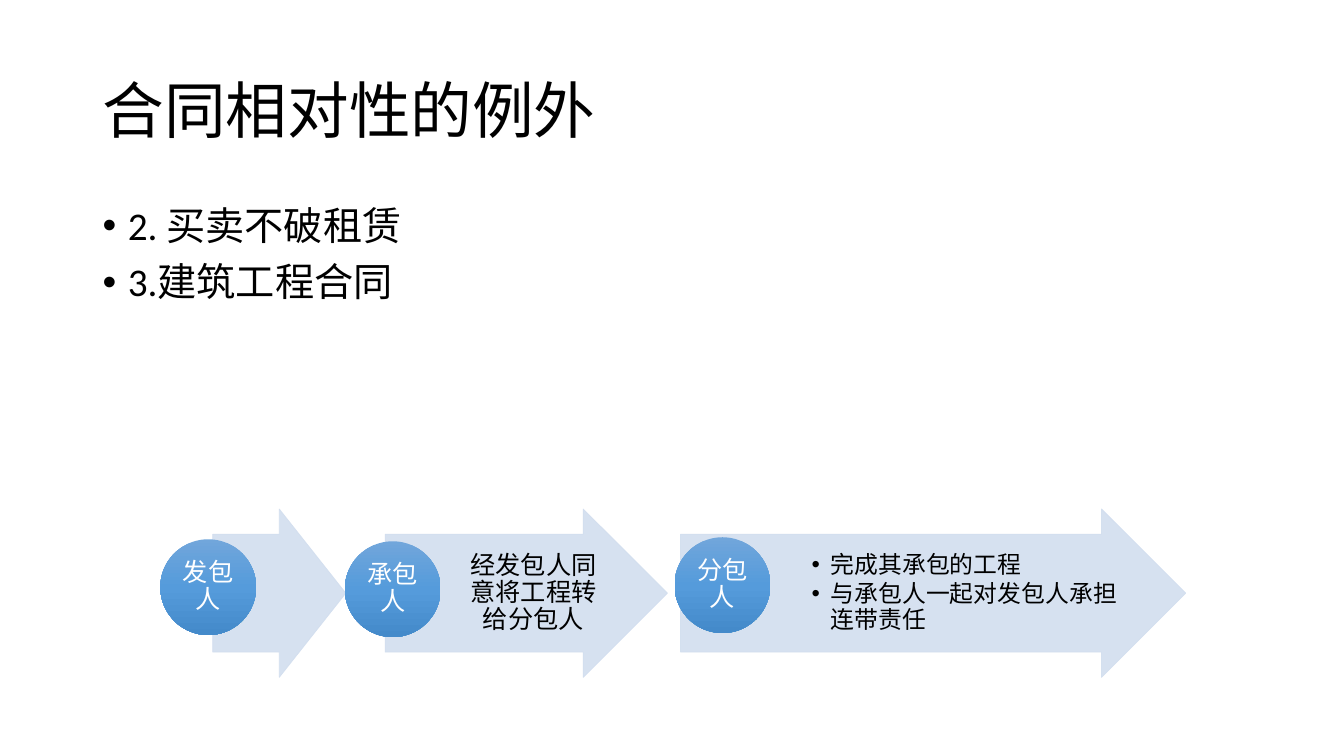
from copy import deepcopy

from lxml.etree import SubElement
from pptx import Presentation
from pptx.dml.color import RGBColor
from pptx.enum.shapes import MSO_SHAPE as Preset
from pptx.enum.text import MSO_ANCHOR as Anchor, PP_ALIGN as Align
from pptx.oxml.ns import qn
from pptx.util import Inches, Pt

COLORS = {
    "text": "000000",
    "circle_text": "FFFFFF",
    "arrow": "D2DEEF",
    "circle_top": "71A6DB",
    "circle_middle": "559BDB",
    "circle_bottom": "448ACA",
}
FONT = "Calibri"
ARROW_TOP, ARROW_HEIGHT = 5.05, 1.67
CIRCLE_SIZE = 0.95
NOTE_TOP, NOTE_HEIGHT = 5.3, 1.17


def rgb(name):
    """Return the named colour."""
    return RGBColor.from_string(COLORS[name])


def add_bullet(paragraph, indent):
    """Give a paragraph a hanging round bullet."""
    properties = paragraph._p.get_or_add_pPr()
    properties.set("marL", str(Inches(indent)))
    properties.set("indent", str(-Inches(indent)))
    SubElement(properties, qn("a:buFont")).set("typeface", "Arial")
    SubElement(properties, qn("a:buChar")).set("char", "•")


def write(shape, lines, size, color="text", anchor=Anchor.MIDDLE, align=Align.LEFT,
          insets=(0.1, 0.05, 0.1, 0.05), bullet_indent=None, gap=0):
    """Fill a shape with formatted paragraphs."""
    frame = shape.text_frame
    frame.text = "\n".join(lines)
    frame.word_wrap = True
    frame.vertical_anchor = anchor
    (frame.margin_left, frame.margin_top,
     frame.margin_right, frame.margin_bottom) = map(Inches, insets)
    for index, paragraph in enumerate(frame.paragraphs):
        if bullet_indent:
            add_bullet(paragraph, bullet_indent)
        paragraph.alignment = align
        paragraph.line_spacing = 0.9
        paragraph.space_before = Pt(gap if index else 0)
        for run in paragraph.runs:
            run.font.name = FONT
            run.font.size = Pt(size)
            run.font.color.rgb = rgb(color)


def add_text(slide, left, top, width, height, lines, size, **style):
    """Add a text box."""
    box = slide.shapes.add_textbox(*map(Inches, (left, top, width, height)))
    write(box, lines, size, **style)


def add_arrow(slide, left, width):
    """Add a pale block arrow."""
    arrow = slide.shapes.add_shape(
        Preset.RIGHT_ARROW, *map(Inches, (left, ARROW_TOP, width, ARROW_HEIGHT)))
    arrow.shadow.inherit = False
    arrow.adjustments[0] = 0.7
    arrow.adjustments[1] = 0.5
    arrow.fill.solid()
    arrow.fill.fore_color.rgb = rgb("arrow")
    arrow.line.color.rgb = rgb("arrow")
    arrow.line.width = Pt(0.5)
    for color in arrow._element.spPr.iter(qn("a:srgbClr")):
        SubElement(color, qn("a:alpha")).set("val", "90000")


def add_circle(slide, left, top, label):
    """Add a shaded circle that names a party."""
    circle = slide.shapes.add_shape(
        Preset.OVAL, *map(Inches, (left, top, CIRCLE_SIZE, CIRCLE_SIZE)))
    circle.shadow.inherit = False
    circle.line.fill.background()
    circle.fill.gradient()
    circle.fill.gradient_angle = 270
    stop_list = circle._element.spPr.find(".//" + qn("a:gsLst"))
    stop_list.insert(1, deepcopy(stop_list[0]))
    names = ("circle_top", "circle_middle", "circle_bottom")
    for stop, position, name in zip(circle.fill.gradient_stops, (0, 0.5, 1), names):
        stop.position = position
        stop.color.rgb = rgb(name)
    write(circle, [label], 18, color="circle_text", align=Align.CENTER, insets=(0.01,) * 4)


def main():
    """Build the slide and save it."""
    presentation = Presentation()
    presentation.slide_width = Inches(13.33)
    presentation.slide_height = Inches(7.5)
    slide = presentation.slides.add_slide(presentation.slide_layouts[6])

    add_text(slide, 0.92, 0.4, 11.5, 1.45, ["合同相对性的例外"], 44)
    add_text(slide, 0.92, 2, 11.5, 4.76, ["2. 买卖不破租赁", "3.建筑工程合同"], 28,
             anchor=Anchor.TOP, bullet_indent=0.25, gap=10)

    parties = [
        (2.11, 1.32, 1.59, 5.35, "发包人"),
        (3.82, 2.8, 3.42, 5.37, "承包人"),
        (6.75, 5.01, 6.69, 5.33, "分包人"),
    ]
    for arrow_left, arrow_width, circle_left, circle_top, label in parties:
        add_arrow(slide, arrow_left, arrow_width)
        add_circle(slide, circle_left, circle_top, label)

    add_text(slide, 4.52, NOTE_TOP, 1.52, NOTE_HEIGHT, ["经发包人同意将工程转给分包人"], 18,
             align=Align.CENTER, insets=(0.05, 0.01, 0.03, 0.01))
    add_text(slide, 8, NOTE_TOP, 3.17, NOTE_HEIGHT,
             ["完成其承包的工程", "与承包人一起对发包人承担连带责任"], 17,
             insets=(0.05, 0.01, 0.02, 0.01), bullet_indent=0.19, gap=2.5)

    presentation.save("out.pptx")


if __name__ == "__main__":
    main()
